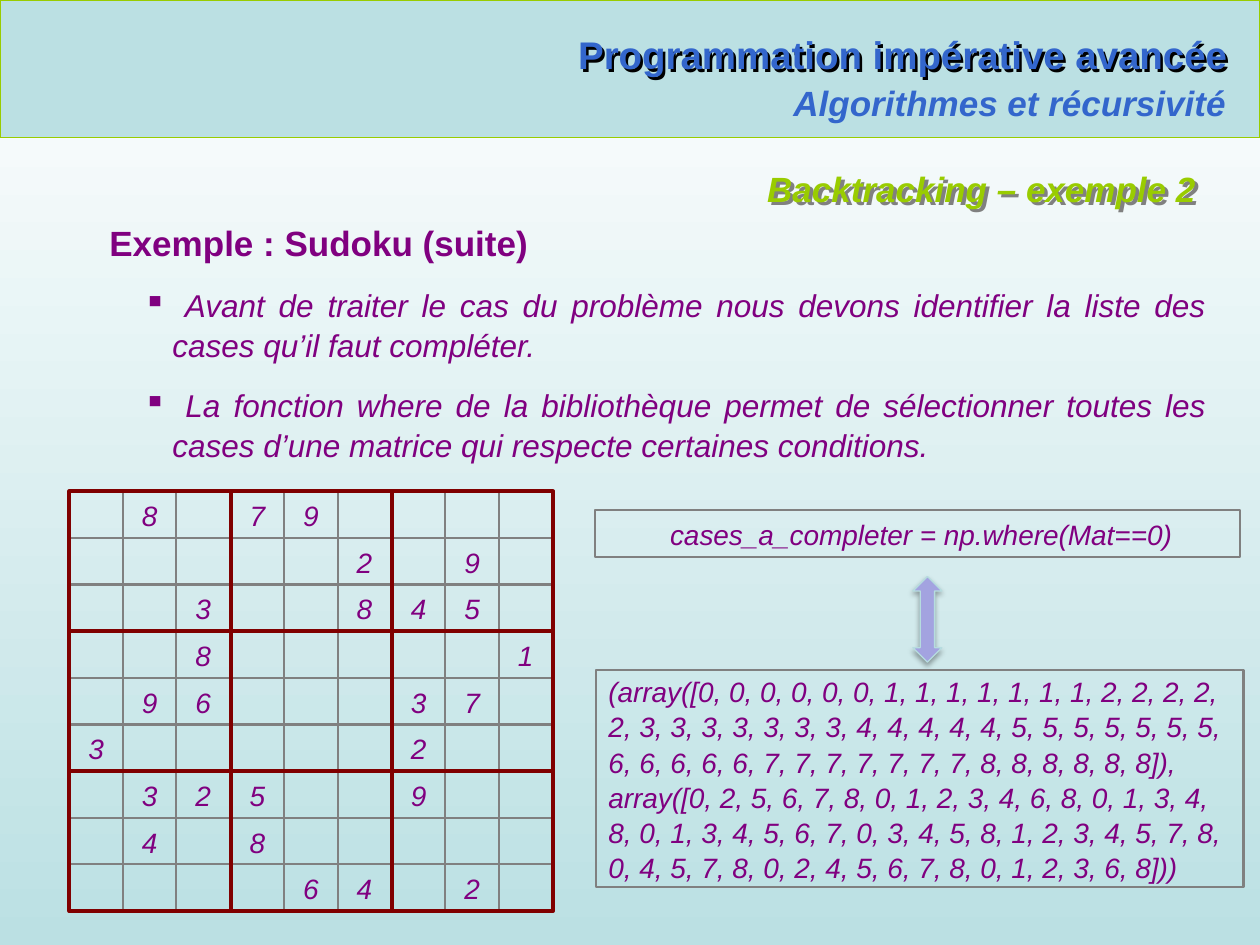
from lxml import etree
from pptx import Presentation
from pptx import util as u
from pptx.dml.color import RGBColor
from pptx.enum import shapes, text
from pptx.oxml.ns import qn

Inches, Pt = u.Inches, u.Pt
ALIGN = text.PP_ALIGN

WHITE = RGBColor(0xFF, 0xFF, 0xFF)
BLACK = RGBColor(0, 0, 0)
PALE_BLUE = RGBColor(0xBB, 0xE0, 0xE3)
BLUE = RGBColor(0x33, 0x66, 0xCC)
GREEN = RGBColor(0x99, 0xCC, 0x00)
PURPLE = RGBColor(0x80, 0x00, 0x80)
GRAY = RGBColor(0x80, 0x80, 0x80)
MAROON = RGBColor(0x80, 0x00, 0x00)
LAVENDER = RGBColor(0xA3, 0xA3, 0xE0)
ARROW_EDGE = RGBColor(0xB6, 0xDC, 0xDF)

FONT = "Arial"
CELL_WIDTH, CELL_HEIGHT = 0.425, 0.37
BLOCK_WIDTH, BLOCK_HEIGHT = 1.28, 1.11
GRID_LEFT, GRID_TOP = 0.55, 3.9

# A dot is an empty cell
SUDOKU = [
    ".8.79....",
    ".....2.9.",
    "..3..845.",
    "..8.....1",
    ".96...37.",
    "3.....2..",
    ".325..9..",
    ".4.8.....",
    "....64.2.",
]

CODE = " cases_a_completer = np.where(Mat==0)"
RESULT = (
    "(array([0, 0, 0, 0, 0, 0, 1, 1, 1, 1, 1, 1, 1, 2, 2, 2, 2, 2, "
    "3, 3, 3, 3, 3, 3, 3, 4, 4, 4, 4, 4, 5, 5, 5, 5, 5, 5, 5, "
    "6, 6, 6, 6, 6, 7, 7, 7, 7, 7, 7, 7, 8, 8, 8, 8, 8, 8]), "
    "array([0, 2, 5, 6, 7, 8, 0, 1, 2, 3, 4, 6, 8, 0, 1, 3, 4, 8, "
    "0, 1, 3, 4, 5, 6, 7, 0, 3, 4, 5, 8, 1, 2, 3, 4, 5, 7, 8, "
    "0, 4, 5, 7, 8, 0, 2, 4, 5, 6, 7, 8, 0, 1, 2, 3, 6, 8]))"
)
BULLETS = [
    " Avant de traiter le cas du problème nous devons identifier la liste "
    "des cases qu’il faut compléter. ",
    " La fonction where de la bibliothèque permet de sélectionner toutes "
    "les cases d’une matrice qui respecte certaines conditions.",
]


def write(paragraph, content, size=16, color=PURPLE, bold=False, italic=True,
          align=ALIGN.CENTER, spacing=1.05, after=0):
    paragraph.alignment = align
    paragraph.line_spacing = spacing
    paragraph.space_after = Pt(after)
    run = paragraph.add_run()
    run.text = content
    font = run.font
    font.name, font.size, font.color.rgb = FONT, Pt(size), color
    font.bold, font.italic = bold, italic


def add_box(parent, left, top, width, height, fill=None, line=GRAY,
            line_width=1.25, kind=shapes.MSO_SHAPE.RECTANGLE):
    shape = parent.add_shape(kind, Inches(left), Inches(top),
                             Inches(width), Inches(height))
    shape.shadow.inherit = False
    if fill is None:
        shape.fill.background()
    else:
        shape.fill.solid()
        shape.fill.fore_color.rgb = fill
    shape.line.color.rgb = line
    shape.line.width = Pt(line_width)
    return shape


def add_labelled_box(parent, content, *place, **text_format):
    shape = add_box(parent, *place)
    frame = shape.text_frame
    frame.word_wrap = True
    frame.vertical_anchor = text.MSO_ANCHOR.MIDDLE
    write(frame.paragraphs[0], content, **text_format)


def add_text_box(slide, left, top, width, height, wrap=True):
    box = slide.shapes.add_textbox(Inches(left), Inches(top),
                                   Inches(width), Inches(height))
    box.text_frame.word_wrap = wrap
    box.text_frame.auto_size = text.MSO_AUTO_SIZE.SHAPE_TO_FIT_TEXT
    return box


def add_heading(slide, content, *place, wrap=False, **text_format):
    box = add_text_box(slide, *place, wrap=wrap)
    write(box.text_frame.paragraphs[0], content, bold=True,
          align=ALIGN.RIGHT, spacing=1.0, **text_format)
    return box


def add_shadow(shape, color, distance, angle, blur=0, opacity=100):
    properties = shape._element.spPr
    for old in properties.findall(qn("a:effectLst")):
        properties.remove(old)
    effects = etree.SubElement(properties, qn("a:effectLst"))
    shadow = etree.SubElement(
        effects, qn("a:outerShdw"), blurRad=str(Pt(blur)),
        dist=str(Pt(distance)), dir=str(angle * 60000), rotWithShape="0")
    rgb = etree.SubElement(shadow, qn("a:srgbClr"), val=str(color))
    etree.SubElement(rgb, qn("a:alpha"), val=str(opacity * 1000))


def add_bullet(paragraph, margin, indent, character="▪"):
    properties = paragraph._p.get_or_add_pPr()
    properties.set("marL", str(Inches(margin)))
    properties.set("indent", str(Inches(indent)))
    etree.SubElement(properties, qn("a:buChar"), char=character)


def add_header(slide):
    add_box(slide.shapes, 0, 0, 10, 1.09, PALE_BLUE, GREEN, 0.75)
    title = add_heading(slide, "Programmation impérative avancée",
                        4.42, 0.2, 5.42, 0.47,
                        size=22, color=BLUE, italic=False)
    add_shadow(title, BLACK, 2, 45)
    add_heading(slide, "Algorithmes et récursivité",
                6.1, 0.6, 3.73, 0.44, size=20, color=BLUE)
    rule = slide.shapes.add_connector(
        shapes.MSO_CONNECTOR.STRAIGHT,
        Inches(0.34), Inches(1.09), Inches(9.76), Inches(1.09))
    rule.line.color.rgb = GREEN
    rule.line.width = Pt(0.75)
    etree.SubElement(rule._element.spPr, qn("a:effectLst"))
    subtitle = add_heading(slide, "Backtracking – exemple 2",
                           5.39, 1.28, 4.2, 0.44, wrap=True,
                           size=20, color=GREEN)
    add_shadow(subtitle, GRAY, 2.8, 45)


def add_body(slide):
    frame = add_text_box(slide, 0.77, 1.69, 8.9, 1.99).text_frame
    write(frame.paragraphs[0], "Exemple : Sudoku (suite)", size=20,
          bold=True, italic=False, align=ALIGN.JUSTIFY, after=12)
    for content, after in zip(BULLETS, (12, 0)):
        paragraph = frame.add_paragraph()
        paragraph.level = 1
        write(paragraph, content, size=18, align=ALIGN.JUSTIFY, after=after)
        add_bullet(paragraph, 0.5, -0.23)


def add_block(parent, block_row, block_column):
    """Draw nine cells, then the thick frame around them."""
    left = GRID_LEFT + block_column * BLOCK_WIDTH
    top = GRID_TOP + block_row * BLOCK_HEIGHT
    for row in range(3):
        for column in range(3):
            place = (left + column * CELL_WIDTH, top + row * CELL_HEIGHT,
                     CELL_WIDTH, CELL_HEIGHT)
            digit = SUDOKU[3 * block_row + row][3 * block_column + column]
            if digit == ".":
                add_box(parent, *place)
            else:
                add_labelled_box(parent, digit, *place)
    add_box(parent, left, top, BLOCK_WIDTH, BLOCK_HEIGHT,
            line=MAROON, line_width=2.25)


def main():
    presentation = Presentation()
    presentation.slide_width, presentation.slide_height = Inches(10), Inches(7.5)
    slide = presentation.slides.add_slide(presentation.slide_layouts[6])

    # Background: white at the top to pale blue at the bottom
    fill = slide.background.fill
    fill.gradient()
    fill.gradient_angle = 270
    for stop, color, position in zip(fill.gradient_stops,
                                     (WHITE, PALE_BLUE), (0, 1)):
        stop.color.rgb = color
        stop.position = position

    add_header(slide)
    add_body(slide)

    # Sudoku grid
    grid = slide.shapes.add_group_shape().shapes
    for block_row in range(3):
        for block_column in range(3):
            add_block(grid, block_row, block_column)

    # Code and its result
    arrow = add_box(slide.shapes, 7.02, 4.8, 0.68, 0.23, LAVENDER, ARROW_EDGE,
                    0.75, shapes.MSO_SHAPE.LEFT_RIGHT_ARROW)
    arrow.rotation = 90
    add_shadow(arrow, BLACK, 1.8, 90, blur=3.1, opacity=35)
    add_labelled_box(slide.shapes, RESULT, 4.73, 5.32, 5.14, 1.72,
                     align=ALIGN.LEFT)
    add_labelled_box(slide.shapes, CODE, 4.72, 4.05, 5.12, 0.37)

    presentation.save("out.pptx")


if __name__ == "__main__":
    main()
